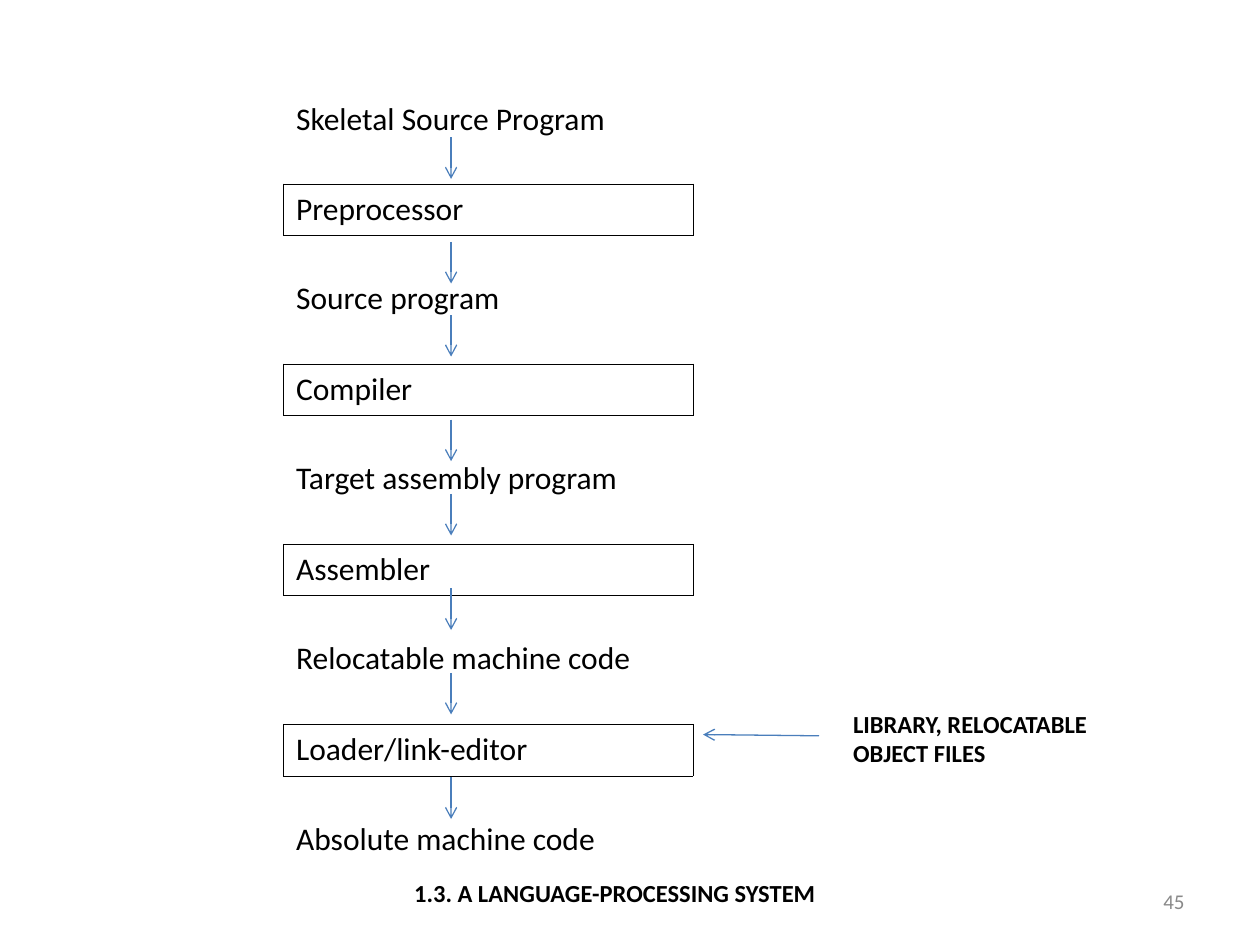
from dataclasses import dataclass

import pptx
import pptx.dml.color
import pptx.enum.shapes
import pptx.enum.text
import pptx.oxml.ns
import pptx.util
from lxml import etree

Inches = pptx.util.Inches
Pt = pptx.util.Pt
Align = pptx.enum.text.PP_ALIGN
Anchor = pptx.enum.text.MSO_ANCHOR
qn = pptx.oxml.ns.qn

BLACK = pptx.dml.color.RGBColor(0x00, 0x00, 0x00)
GREY = pptx.dml.color.RGBColor(0x89, 0x89, 0x89)
BLUE = pptx.dml.color.RGBColor(0x4A, 0x7E, 0xBB)
FONT = "Calibri"

TABLE_LEFT, TABLE_TOP, TABLE_WIDTH = 2.25, 0.75, 3.25
END_HEIGHT, TOOL_HEIGHT, PROGRAM_HEIGHT = 0.71, 0.41, 1.02
LINE_HEIGHT = 0.3
ARROW_X, ARROW_LENGTH = 3.58, 0.33
ARROW_TOPS = (1.09, 1.92, 2.5, 3.33, 3.92, 4.67, 5.34, 6.17)


@dataclass
class Stage:
    text: str
    height: float
    boxed: bool = False
    lowered: bool = True  # text starts one line below the top


@dataclass
class Label:
    text: str
    left: float
    top: float
    width: float
    height: float
    size: int
    color: pptx.dml.color.RGBColor
    bold: bool
    alignment: Align
    anchor: Anchor


STAGES = [
    Stage("Skeletal Source Program", END_HEIGHT, lowered=False),
    Stage("Preprocessor", TOOL_HEIGHT, boxed=True, lowered=False),
    Stage("Source program", PROGRAM_HEIGHT),
    Stage("Compiler", TOOL_HEIGHT, boxed=True, lowered=False),
    Stage("Target assembly program", PROGRAM_HEIGHT),
    Stage("Assembler", TOOL_HEIGHT, boxed=True, lowered=False),
    Stage("Relocatable machine code", PROGRAM_HEIGHT),
    Stage("Loader/link-editor", TOOL_HEIGHT, boxed=True, lowered=False),
    Stage("Absolute machine code", END_HEIGHT),
]
LIBRARY = Label("LIBRARY, RELOCATABLE OBJECT FILES", 6.67, 5.58, 2.67, 0.56,
                14, BLACK, True, Align.LEFT, Anchor.MIDDLE)
CAPTION = Label("1.3. A LANGUAGE-PROCESSING SYSTEM", 0.42, 6.92, 8.92, 0.39,
                14, BLACK, True, Align.CENTER, Anchor.TOP)
PAGE_NUMBER = Label("45", 7.17, 6.95, 2.33, 0.4,
                    12, GREY, False, Align.RIGHT, Anchor.MIDDLE)


def format_text(text_frame, size: int, color, bold: bool, alignment: Align) -> None:
    for paragraph in text_frame.paragraphs:
        paragraph.alignment = alignment
        for run in paragraph.runs:
            run.font.name = FONT
            run.font.size = Pt(size)
            run.font.bold = bold
            run.font.color.rgb = color


def fill_label(shape, label: Label) -> None:
    shape.left, shape.top = Inches(label.left), Inches(label.top)
    shape.width, shape.height = Inches(label.width), Inches(label.height)
    text_frame = shape.text_frame
    text_frame.text = label.text
    text_frame.word_wrap = True
    text_frame.auto_size = pptx.enum.text.MSO_AUTO_SIZE.NONE
    text_frame.vertical_anchor = label.anchor
    format_text(text_frame, label.size, label.color, label.bold, label.alignment)


def add_label(slide, label: Label) -> None:
    fill_label(slide.shapes.add_textbox(0, 0, 0, 0), label)


def set_borders(cell, visible_sides: str) -> None:
    properties = cell._tc.get_or_add_tcPr()
    for side in "LRTB":
        line = etree.SubElement(properties, qn(f"a:ln{side}"), w=str(Pt(0.45)))
        if side in visible_sides:
            fill = etree.SubElement(line, qn("a:solidFill"))
            etree.SubElement(fill, qn("a:srgbClr"), val=str(BLACK))
        else:
            etree.SubElement(line, qn("a:noFill"))


def add_stage_table(slide, stages: list[Stage]) -> None:
    total_height = sum(stage.height for stage in stages)
    table = slide.shapes.add_table(
        len(stages), 1, Inches(TABLE_LEFT), Inches(TABLE_TOP),
        Inches(TABLE_WIDTH), Inches(total_height)).table
    table.first_row = table.horz_banding = False
    for index, stage in enumerate(stages):
        table.rows[index].height = Inches(stage.height)
        cell = table.cell(index, 0)
        cell.text_frame.text = stage.text
        format_text(cell.text_frame, 18, BLACK, False, Align.LEFT)
        cell.margin_top = Inches(0.05 + LINE_HEIGHT * stage.lowered)
        # Programs share their top and bottom edges with the boxed tools
        shared = "T" * (index > 0) + "B" * (index < len(stages) - 1)
        set_borders(cell, "LRTB" if stage.boxed else shared)
        cell.fill.background()


def add_arrow(slide, start: tuple[float, float], end: tuple[float, float]) -> None:
    connector = slide.shapes.add_connector(
        pptx.enum.shapes.MSO_CONNECTOR.STRAIGHT,
        *(Inches(value) for value in start + end))
    connector.line.color.rgb = BLUE
    connector.line.width = Pt(0.75)
    etree.SubElement(connector.line._get_or_add_ln(), qn("a:tailEnd"), type="arrow")
    etree.SubElement(connector._element.spPr, qn("a:effectLst"))


def main() -> None:
    presentation = pptx.Presentation()
    presentation.slide_width, presentation.slide_height = Inches(10), Inches(7.5)
    slide = presentation.slides.add_slide(presentation.slide_layouts[5])

    # Side input to the loader
    fill_label(slide.shapes.title, LIBRARY)

    # Processing chain and its arrows
    add_stage_table(slide, STAGES)
    for top in ARROW_TOPS:
        add_arrow(slide, (ARROW_X, top), (ARROW_X, top + ARROW_LENGTH))
    add_arrow(slide, (6.5, 5.84), (5.58, 5.83))

    # Caption and page number
    add_label(slide, CAPTION)
    add_label(slide, PAGE_NUMBER)

    presentation.save("out.pptx")


if __name__ == "__main__":
    main()
